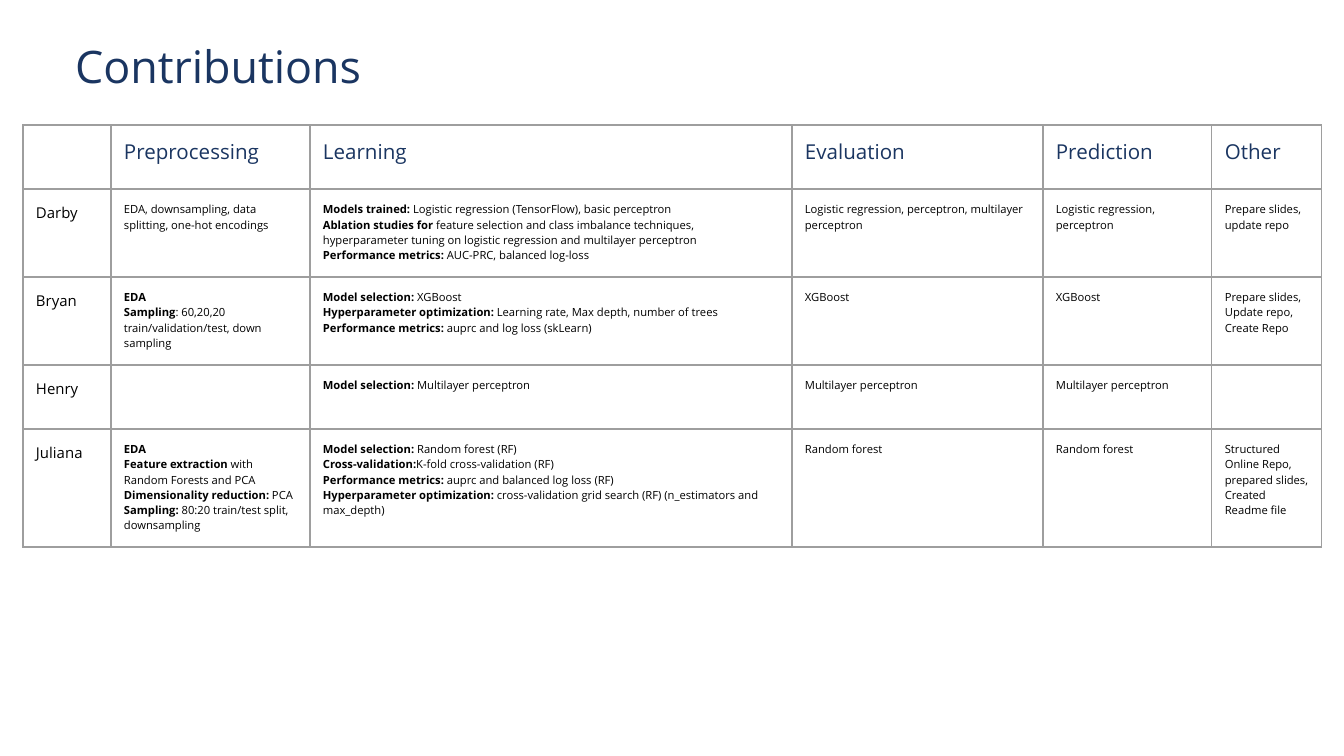
from lxml import etree
from pptx import Presentation
from pptx import util as u
from pptx.dml.color import RGBColor
from pptx.enum import text as t
from pptx.oxml import ns

FONT = "Open Sans"
NAVY, BLACK, WHITE, GREY = "1A3561", "000000", "FFFFFF", "9E9E9E"
PAD = 13

COLS = [88, 199, 482, 251, 169, 110]
ROWS = [64, 88, 88, 64, 118]
HEAD = ["", "Preprocessing", "Learning", "Evaluation", "Prediction", "Other"]

# One row per person; lines are paragraphs, ** marks bold
TEAM = [
    ["Darby",
     "EDA, downsampling, data splitting, one-hot encodings",
     "**Models trained: **Logistic regression (TensorFlow), basic perceptron\n"
     "**Ablation studies for **feature selection and class imbalance techniques, "
     "hyperparameter tuning on logistic regression and multilayer perceptron\n"
     "**Performance metrics: **AUC-PRC, balanced log-loss",
     "Logistic regression, perceptron, multilayer perceptron",
     "Logistic regression, perceptron",
     "Prepare slides, update repo"],
    ["Bryan",
     "**EDA**\n**Sampling**: 60,20,20 train/validation/test, down sampling",
     "**Model selection:** XGBoost\n"
     "**Hyperparameter optimization: **Learning rate, Max depth, number of trees\n"
     "**Performance metrics: **auprc and log loss (skLearn)",
     "XGBoost",
     "XGBoost",
     "Prepare slides,\nUpdate repo,\nCreate Repo"],
    ["Henry",
     "",
     "**Model selection: **Multilayer perceptron",
     "Multilayer perceptron",
     "Multilayer perceptron",
     ""],
    ["Juliana",
     "**EDA**\n**Feature extraction **with Random Forests and PCA\n"
     "**Dimensionality reduction:** PCA\n"
     "**Sampling: **80:20 train/test split, downsampling",
     "**Model selection: **Random forest (RF)\n"
     "**Cross-validation:**K-fold cross-validation (RF)\n"
     "**Performance metrics: **auprc and balanced log loss (RF)\n"
     "**Hyperparameter optimization: **cross-validation grid search (RF) "
     "(n_estimators and max_depth)",
     "Random forest",
     "Random forest",
     "Structured Online Repo, prepared slides,\nCreated Readme file"],
]


def px(n):
    return u.Emu(round(n * 914400 / 134.4))


def color(code):
    return RGBColor.from_string(code)


def write(frame, words, size, tint):
    """Fill a text frame, run by run."""
    for i, line in enumerate(words.split("\n")):
        para = frame.paragraphs[0] if i == 0 else frame.add_paragraph()
        para.alignment = t.PP_ALIGN.LEFT
        for k, part in enumerate(line.split("**")):
            if part:
                run = para.add_run()
                run.text = part
                font = run.font
                font.name, font.size, font.bold = FONT, u.Pt(size), k % 2 == 1
                font.color.rgb = color(tint)
        if not line:
            # Keep the empty line as small as the text around it
            etree.SubElement(para._p, ns.qn("a:endParaRPr"), sz=str(size * 100))


def border(cell):
    props = cell._tc.get_or_add_tcPr()
    for i, side in enumerate(("lnL", "lnR", "lnT", "lnB")):
        line = etree.Element(ns.qn("a:" + side), w=str(u.Pt(0.75)))
        fill = etree.SubElement(line, ns.qn("a:solidFill"))
        etree.SubElement(fill, ns.qn("a:srgbClr"), val=GREY)
        props.insert(i, line)


def title(slide, x, y, w, h):
    shape = slide.shapes.title
    shape.left, shape.top, shape.width, shape.height = map(px, (x, y, w, h))
    frame = shape.text_frame
    frame.margin_left = frame.margin_right = px(PAD)
    frame.margin_top = frame.margin_bottom = px(PAD)
    frame.vertical_anchor = t.MSO_ANCHOR.TOP
    frame.auto_size = t.MSO_AUTO_SIZE.NONE
    frame.word_wrap = True
    write(frame, "Contributions", 24, NAVY)


def grid(slide, x, y):
    data = [HEAD] + TEAM
    table = slide.shapes.add_table(len(data), len(COLS), px(x), px(y),
                                   px(sum(COLS)), px(sum(ROWS))).table
    table.first_row = table.horz_banding = False
    for col, w in zip(table.columns, COLS):
        col.width = px(w)
    for row, h in zip(table.rows, ROWS):
        row.height = px(h)
    for r, line in enumerate(data):
        for c, words in enumerate(line):
            cell = table.cell(r, c)
            cell.margin_left = cell.margin_right = px(PAD)
            cell.margin_top = cell.margin_bottom = px(PAD)
            cell.vertical_anchor = t.MSO_ANCHOR.TOP
            cell.fill.solid()
            cell.fill.fore_color.rgb = color(WHITE)
            border(cell)
            size = 6 if not words else 11 if r == 0 else 8 if c == 0 else 6
            write(cell.text_frame, words, size, BLACK if r else NAVY)


def main():
    deck = Presentation()
    deck.slide_width, deck.slide_height = px(1344), px(756)
    slide = deck.slides.add_slide(deck.slide_layouts[5])
    title(slide, 62, 26, 696, 168)
    grid(slide, 23, 125)
    deck.save("out.pptx")


if __name__ == "__main__":
    main()
